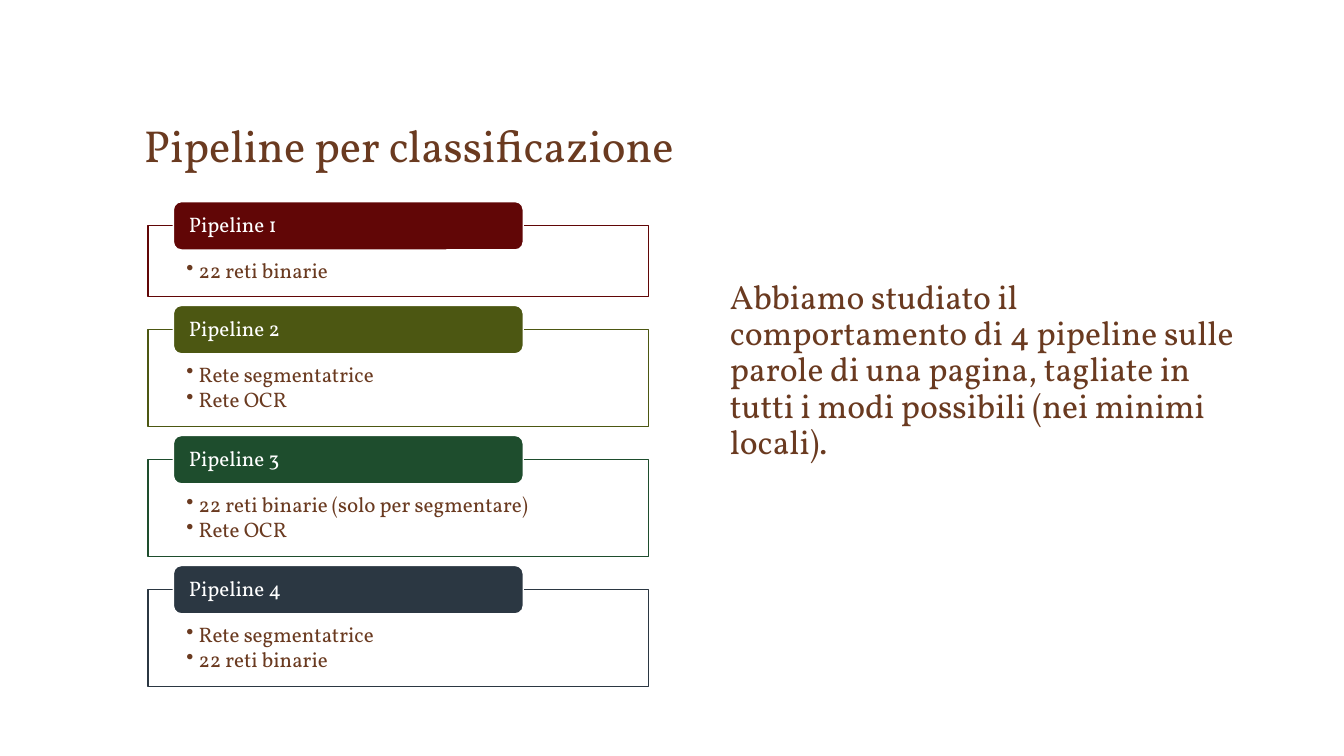
from lxml.etree import SubElement
from pptx import Presentation
from pptx.dml.color import RGBColor
from pptx.enum.shapes import MSO_SHAPE as Shape
from pptx.enum.text import MSO_ANCHOR as Anchor, PP_ALIGN as Align
from pptx.oxml.ns import qn
from pptx.util import Inches, Pt

FONT = "Vollkorn"
BROWN = RGBColor(0x6A, 0x3A, 0x20)
WHITE = RGBColor(0xFF, 0xFF, 0xFF)
RED = RGBColor(0x61, 0x06, 0x06)
OLIVE = RGBColor(0x4C, 0x57, 0x12)
GREEN = RGBColor(0x1E, 0x4D, 0x2D)
SLATE = RGBColor(0x2B, 0x37, 0x42)

TITLE = "Pipeline per classificazione"
BODY = ("Abbiamo studiato il comportamento di 4 pipeline sulle parole di una "
        "pagina, tagliate in tutti i modi possibili (nei minimi locali).")
PIPES = [
    ("Pipeline 1", RED, ["22 reti binarie"]),
    ("Pipeline 2", OLIVE, ["Rete segmentatrice", "Rete OCR"]),
    ("Pipeline 3", GREEN, ["22 reti binarie (solo per segmentare)", "Rete OCR"]),
    ("Pipeline 4", SLATE, ["Rete segmentatrice", "22 reti binarie"]),
]

LEFT, TOP, WIDTH = 1.47, 2.24, 4.96
BASE, LINE, GAP = 0.44, 0.26, 0.33
TAB_IN, TAB_UP, TAB_W, TAB_H = 0.25, 0.24, 3.47, 0.48


def write(shape, lines, size, color, anchor, pads, space=None):
    frame = shape.text_frame
    frame.word_wrap = True
    frame.vertical_anchor = anchor
    (frame.margin_left, frame.margin_top,
     frame.margin_right, frame.margin_bottom) = map(Inches, pads)
    frame.text = "\n".join(lines)
    for para in frame.paragraphs:
        para.alignment = Align.LEFT
        para.line_spacing = space
        for run in para.runs:
            run.font.name = FONT
            run.font.size = Pt(size)
            run.font.color.rgb = color
    return frame


def add_text(slide, box, lines, size, anchor, space=None):
    shape = slide.shapes.add_textbox(*map(Inches, box))
    write(shape, lines, size, BROWN, anchor, (0.1, 0.05, 0.1, 0.05), space)


def add_block(slide, kind, box, fill, line):
    shape = slide.shapes.add_shape(kind, *map(Inches, box))
    shape.shadow.inherit = False
    shape.fill.solid()
    shape.fill.fore_color.rgb = fill
    shape.line.color.rgb = line
    shape.line.width = Pt(1)
    return shape


def add_bullets(frame):
    for para in frame.paragraphs:
        para.level = 1
        para.space_after = Pt(2.25)
        props = para._p.get_or_add_pPr()
        props.set("marL", str(Inches(0.12)))
        props.set("indent", str(-Inches(0.12)))
        SubElement(props, qn("a:buChar")).set("char", "•")


def add_pipe(slide, top, name, color, items):
    high = BASE + LINE * len(items)
    panel = add_block(slide, Shape.RECTANGLE, (LEFT, top, WIDTH, high), WHITE, color)
    tint = panel._element.spPr.find(qn("a:solidFill"))[0]
    SubElement(tint, qn("a:alpha")).set("val", "90000")
    add_bullets(write(panel, items, 15, BROWN, Anchor.TOP,
                      (0.38, 0.34, 0.38, 0.12), 0.9))
    tab = add_block(slide, Shape.ROUNDED_RECTANGLE,
                    (LEFT + TAB_IN, top - TAB_UP, TAB_W, TAB_H), color, WHITE)
    write(tab, [name], 15, WHITE, Anchor.MIDDLE, (0.13, 0, 0.13, 0), 0.9)
    return top + high + GAP


def main():
    deck = Presentation()
    deck.slide_width, deck.slide_height = Inches(13.33), Inches(7.5)
    slide = deck.slides.add_slide(deck.slide_layouts[6])
    add_text(slide, (1.33, 0.47, 10.66, 1.28), [TITLE], 32, Anchor.BOTTOM)
    add_text(slide, (7.14, 2.73, 5.25, 2.28), [BODY], 24, Anchor.TOP, 0.9)
    top = TOP
    for name, color, items in PIPES:
        top = add_pipe(slide, top, name, color, items)
    deck.save("out.pptx")


if __name__ == "__main__":
    main()
